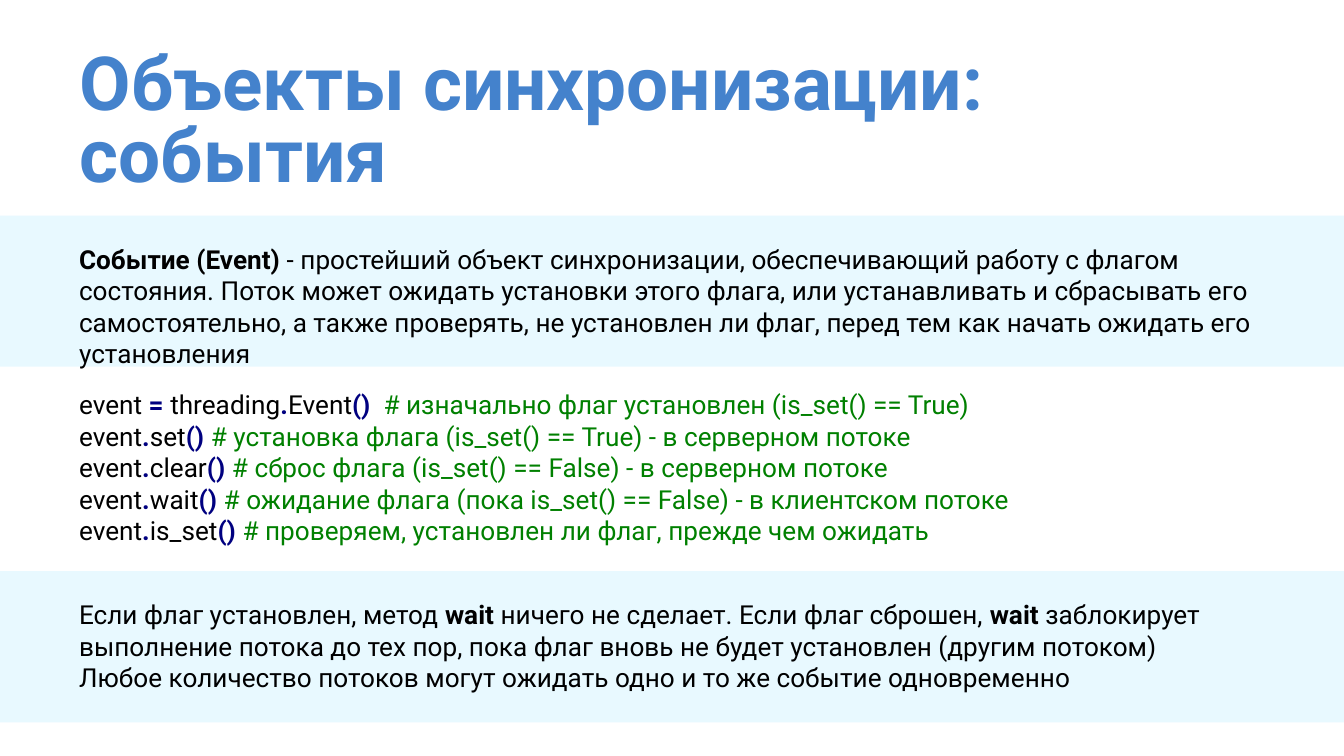
from dataclasses import dataclass

from pptx import Presentation
from pptx.dml.color import RGBColor
from pptx.enum.shapes import MSO_SHAPE
from pptx.enum.text import MSO_ANCHOR, MSO_AUTO_SIZE, PP_ALIGN
from pptx.slide import Slide
from pptx.text.text import TextFrame
from pptx.util import Emu, Pt

RECTANGLE = MSO_SHAPE.RECTANGLE
TOP = MSO_ANCHOR.TOP
NO_AUTOFIT = MSO_AUTO_SIZE.NONE
LEFT = PP_ALIGN.LEFT

PIXEL = 9525
SLIDE_WIDTH, SLIDE_HEIGHT = 960, 540
TEXT_LEFT = 47
FONT_NAME = "Roboto"
BLACK, BLUE, PALE = "000000", "4482CC", "E8F9FF"
NAVY, GREEN = "000080", "008000"
FRAME_FORMAT = {"word_wrap": True, "auto_size": NO_AUTOFIT, "vertical_anchor": TOP}


@dataclass(frozen=True)
class Span:
    text: str
    bold: bool = False
    color: str = BLACK
    new_line: bool = False


@dataclass(frozen=True)
class TextBlock:
    top: int
    width: int
    height: int
    paragraphs: list[list[Span]]


def px(length: int) -> Emu:
    return Emu(length * PIXEL)


def rgb(value: str) -> RGBColor:
    return RGBColor.from_string(value)


def apply_format(target: object, values: dict) -> None:
    for name, value in values.items():
        setattr(target, name, value)


def write_text(frame: TextFrame, paragraphs: list[list[Span]], size: int, line_spacing: float = 1.0) -> None:
    apply_format(frame, FRAME_FORMAT)
    for index, spans in enumerate(paragraphs):
        paragraph = frame.add_paragraph() if index else frame.paragraphs[0]
        apply_format(paragraph, {"alignment": LEFT, "line_spacing": line_spacing, "space_before": Pt(0)})
        for span in spans:
            if span.new_line:
                paragraph.add_line_break()
            run = paragraph.add_run()
            run.text = span.text
            apply_format(run.font, {"name": FONT_NAME, "size": Pt(size), "bold": span.bold})
            run.font.color.rgb = rgb(span.color)


def draw_title(slide: Slide, text: str) -> None:
    title = slide.shapes.title
    apply_format(title, {"left": px(TEXT_LEFT), "top": px(28), "width": px(852), "height": px(73)})
    margins = ("margin_left", "margin_top", "margin_right", "margin_bottom")
    apply_format(title.text_frame, dict.fromkeys(margins, px(10)))
    write_text(title.text_frame, [[Span(text, True, BLUE)]], 40, 0.8)


def draw_band(slide: Slide, top: int) -> None:
    band = slide.shapes.add_shape(RECTANGLE, 0, px(top), px(SLIDE_WIDTH), px(108))
    band.shadow.inherit = False
    band.fill.solid()
    band.fill.fore_color.rgb = rgb(PALE)
    band.line.fill.background()


def draw_text_block(slide: Slide, block: TextBlock) -> None:
    box = slide.shapes.add_textbox(px(TEXT_LEFT), px(block.top), px(block.width), px(block.height))
    write_text(box.text_frame, block.paragraphs, 14)


def method_call(method: str, comment: str) -> list[Span]:
    return [
        Span("event"),
        Span(".", True, NAVY),
        Span(method),
        Span("() ", True, NAVY),
        Span(comment, color=GREEN),
    ]


DEFINITION = [[
    Span("Событие (Event) ", True),
    Span(
        "- простейший объект синхронизации, обеспечивающий работу с флагом состояния. "
        "Поток может ожидать установки этого флага, или устанавливать и сбрасывать его "
        "самостоятельно, а также проверять, не установлен ли флаг, перед тем как начать "
        "ожидать его установления"
    ),
]]

CODE = [
    [
        Span("event "),
        Span("= ", True, NAVY),
        Span("threading"),
        Span(".", True, NAVY),
        Span("Event"),
        Span("()  ", True, NAVY),
        Span("# изначально флаг установлен (is_set() == True)", color=GREEN),
    ],
    method_call("set", "# установка флага (is_set() == True) - в серверном потоке"),
    method_call("clear", "# сброс флага (is_set() == False) - в серверном потоке"),
    method_call("wait", "# ожидание флага (пока is_set() == False) - в клиентском потоке"),
    method_call("is_set", "# проверяем, установлен ли флаг, прежде чем ожидать"),
]

BEHAVIOUR = [[
    Span("Если флаг установлен, метод "),
    Span("wait", True),
    Span(" ничего не сделает. Если флаг сброшен, "),
    Span("wait", True),
    Span(" заблокирует выполнение потока до тех пор, пока флаг вновь не будет установлен (другим потоком)"),
    Span("Любое количество потоков могут ожидать одно и то же событие одновременно", new_line=True),
]]

TEXT_BLOCKS = [
    TextBlock(169, 892, 78, DEFINITION),
    TextBlock(273, 905, 123, CODE),
    TextBlock(423, 892, 78, BEHAVIOUR),
]


def main() -> None:
    presentation = Presentation()
    apply_format(presentation, {"slide_width": px(SLIDE_WIDTH), "slide_height": px(SLIDE_HEIGHT)})
    slide = presentation.slides.add_slide(presentation.slide_layouts[5])
    draw_title(slide, "Объекты синхронизации: события")
    for top in (408, 154):
        draw_band(slide, top)
    for block in TEXT_BLOCKS:
        draw_text_block(slide, block)
    presentation.save("out.pptx")


if __name__ == "__main__":
    main()
